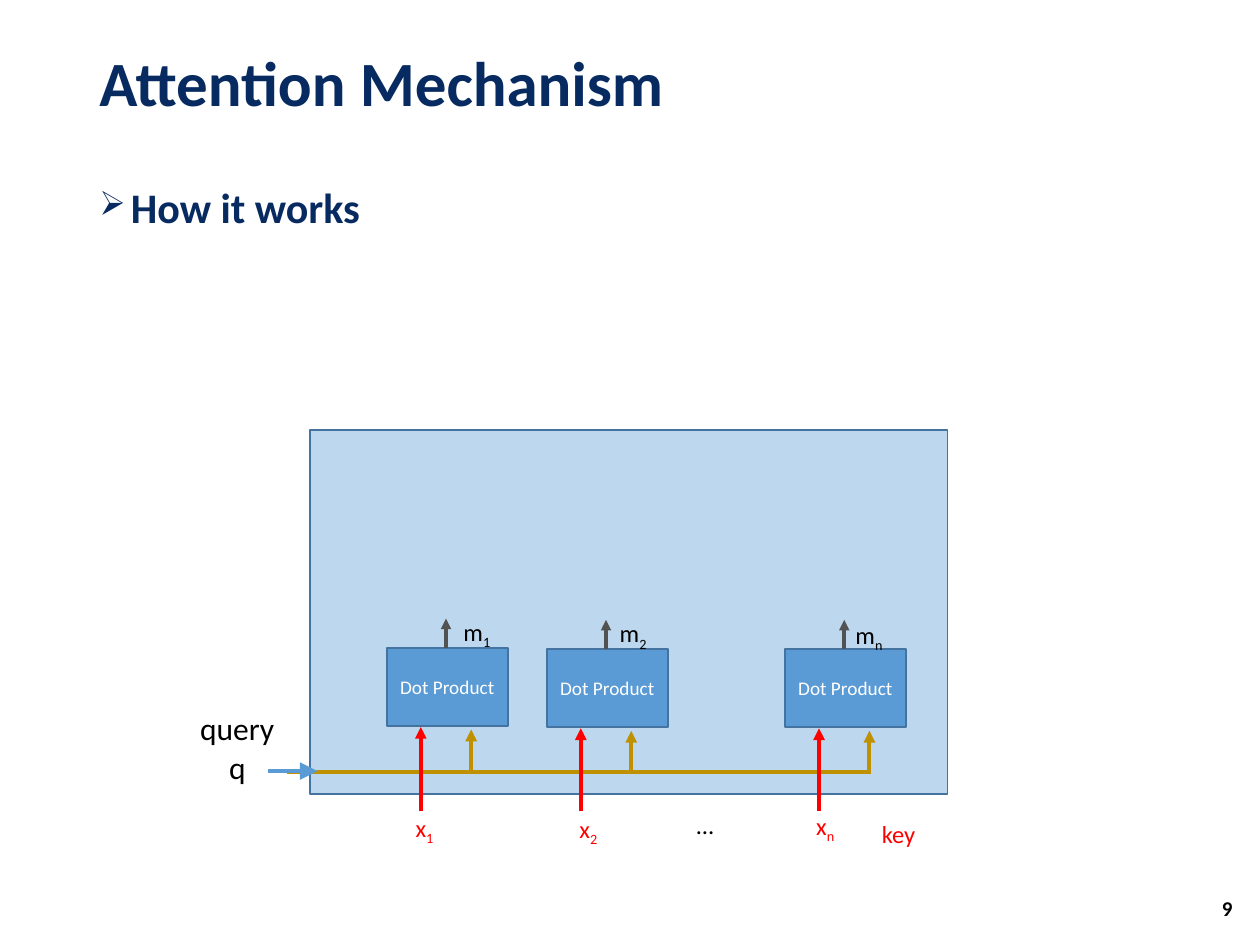
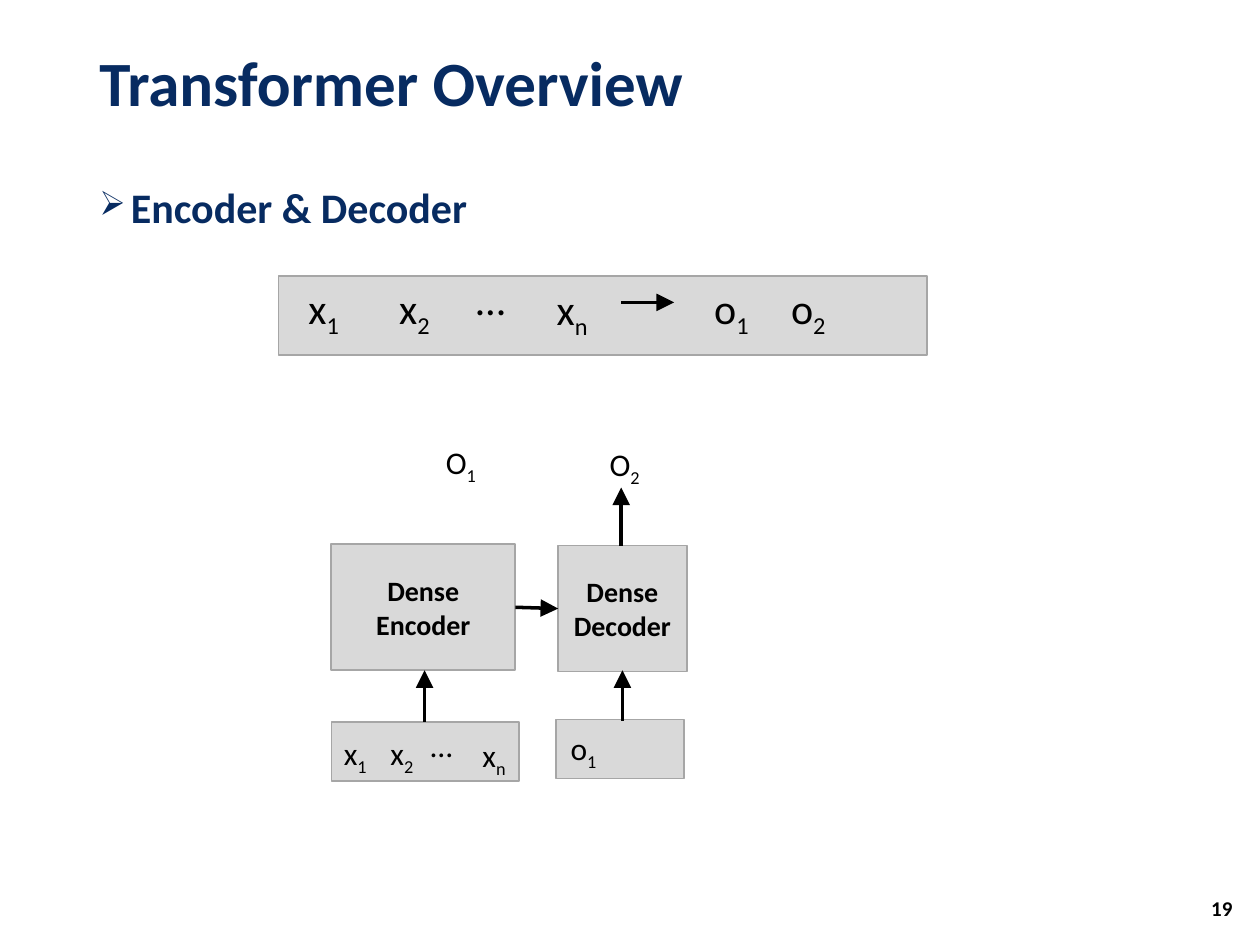
from dataclasses import dataclass

from pptx import Presentation
from pptx.dml.color import RGBColor
from pptx.enum.shapes import MSO_CONNECTOR, MSO_SHAPE
from pptx.enum.text import MSO_ANCHOR, MSO_AUTO_SIZE, PP_ALIGN
from pptx.oxml.ns import qn
from pptx.util import Inches, Pt
from lxml.etree import SubElement


@dataclass(frozen=True)
class Theme:
    font: str = "Calibri"
    navy: str = "072B61"
    black: str = "000000"
    white: str = "FFFFFF"
    red: str = "FF0000"
    gold: str = "BF9000"
    charcoal: str = "525252"
    blue: str = "5B9BD5"
    pale_blue: str = "BDD7EE"
    blue_edge: str = "43739E"
    grey: str = "D9D9D9"
    grey_edge: str = "A6A6A6"
    title: int = 36
    heading: int = 24
    label: int = 18
    block: int = 16
    small: int = 14
    number: int = 12
    tiny: int = 11


THEME = Theme()


def apply(target, values):
    for name, value in values.items():
        setattr(target, name, value)


class Deck:
    def __init__(self, theme):
        self.theme = theme
        self.presentation = Presentation()
        apply(self.presentation, {"slide_width": Inches(10), "slide_height": Inches(7.5)})
        self.slide = None

    def start(self, title, heading, number):
        theme = self.theme
        self.slide = self.presentation.slides.add_slide(self.presentation.slide_layouts[6])
        self.text(title, (0.69, 0.18, 8.62, 1.01), theme.title, theme.navy, bold=True,
                  anchor=MSO_ANCHOR.MIDDLE, line_spacing=0.9)
        self.bullet(heading)
        self.text(number, (9.36, 7.01, 0.52, 0.4), theme.number, theme.black, bold=True,
                  anchor=MSO_ANCHOR.MIDDLE, alignment=PP_ALIGN.RIGHT)

    def run(self, paragraph, words, size, color, bold=False, baseline=None):
        run = paragraph.add_run()
        run.text = words
        apply(run.font, {"name": self.theme.font, "size": Pt(size), "bold": bold})
        run.font.color.rgb = RGBColor.from_string(color)
        if baseline:
            run.font._element.set("baseline", baseline)

    def text(self, words, box, size, color, bold=False, anchor=MSO_ANCHOR.TOP, **layout):
        frame = self.slide.shapes.add_textbox(*map(Inches, box)).text_frame
        apply(frame, {"word_wrap": True, "vertical_anchor": anchor})
        paragraph = frame.paragraphs[0]
        apply(paragraph, layout)
        self.run(paragraph, words, size, color, bold)
        return paragraph

    def bullet(self, words):
        theme = self.theme
        paragraph = self.text(words, (0.69, 1.44, 8.62, 5.44), theme.heading, theme.navy,
                              bold=True, line_spacing=0.9, space_before=Pt(10))
        properties = paragraph._p.get_or_add_pPr()
        properties.set("marL", str(Inches(0.25)))
        properties.set("indent", str(Inches(-0.25)))
        SubElement(properties, qn("a:buSzPct")).set("val", "80000")
        SubElement(properties, qn("a:buChar")).set("char", "➢")

    def symbol(self, words, left, top, width, size, color=THEME.black, sub=""):
        height = {14: 0.34, 18: 0.4, 24: 0.5}[size]
        box = map(Inches, (left, top, width, height))
        frame = self.slide.shapes.add_textbox(*box).text_frame
        apply(frame, {"word_wrap": False, "auto_size": MSO_AUTO_SIZE.SHAPE_TO_FIT_TEXT})
        paragraph = frame.paragraphs[0]
        self.run(paragraph, words, size, color)
        if sub:
            self.run(paragraph, sub, size, color, baseline="-25000")

    def block(self, box, fill, edge, lines=(), size=THEME.block, color=THEME.black, bold=False):
        block = self.slide.shapes.add_shape(MSO_SHAPE.RECTANGLE, *map(Inches, box))
        block.shadow.inherit = False
        block.fill.solid()
        block.fill.fore_color.rgb = RGBColor.from_string(fill)
        block.line.color.rgb = RGBColor.from_string(edge)
        block.line.width = Pt(1)
        frame = block.text_frame
        apply(frame, {"word_wrap": True, "vertical_anchor": MSO_ANCHOR.MIDDLE,
                      "margin_left": Inches(0.05), "margin_right": Inches(0.05)})
        for index, words in enumerate(lines):
            paragraph = frame.add_paragraph() if index else frame.paragraphs[0]
            paragraph.alignment = PP_ALIGN.CENTER
            self.run(paragraph, words, size, color, bold)

    def line(self, start, end, color, width=2.25, head="med"):
        points = map(Inches, (*start, *end))
        line = self.slide.shapes.add_connector(MSO_CONNECTOR.STRAIGHT, *points)
        line.line.color.rgb = RGBColor.from_string(color)
        line.line.width = Pt(width)
        if head:
            tail = SubElement(line.line._get_or_add_ln(), qn("a:tailEnd"))
            for name, value in {"type": "triangle", "w": head, "len": head}.items():
                tail.set(name, value)
        SubElement(line._element.spPr, qn("a:effectLst"))


def attention_slide(deck):
    theme = deck.theme
    deck.start("Attention Mechanism", "How it works", "9")
    deck.block((2.46, 3.41, 5.06, 2.89), theme.pale_blue, theme.blue_edge)
    deck.line((2.28, 6.13), (6.91, 6.13), theme.gold, head=None)
    columns = [
        ("1", 3.07, 5.14, (3.58, 4.85), (3.2, 6.4)),
        ("2", 4.34, 5.15, (4.82, 4.86), (4.5, 6.41)),
        ("n", 6.23, 5.15, (6.69, 4.87), (6.38, 6.39)),
    ]
    for sub, left, top, score, key in columns:
        deck.block((left, top, 0.96, 0.62), theme.blue, theme.blue_edge,
                   ["Dot Product"], theme.tiny, theme.white)
        query_x, score_x, key_x = left + 0.67, left + 0.47, left + 0.27
        deck.line((query_x, 6.13), (query_x, top + 0.65), theme.gold)
        deck.line((score_x, top), (score_x, top - 0.23), theme.charcoal, 2)
        deck.line((key_x, 6.44), (key_x, top + 0.63), theme.red)
        deck.symbol("m", *score, 0.42, theme.small, sub=sub)
        deck.symbol("x", *key, 0.36, theme.small, theme.red, sub)
    deck.symbol("…", 5.43, 6.38, 0.4, theme.small)
    deck.symbol("key", 6.9, 6.45, 0.47, theme.small, theme.red)
    deck.line((2.13, 6.12), (2.52, 6.12), theme.blue, 2, "lg")
    deck.symbol("query", 1.49, 5.58, 0.8, theme.label)
    deck.symbol("q", 1.72, 5.89, 0.34, theme.label)


def transformer_slide(deck):
    theme = deck.theme
    deck.start("Transformer Overview", "Encoder & Decoder", "19")
    blocks = [
        ((2.21, 2.19, 5.15, 0.63), []),
        ((2.63, 4.32, 1.46, 1), ["Dense", "Encoder"]),
        ((4.43, 4.33, 1.02, 1), ["Dense", "Decoder"]),
        ((2.63, 5.73, 1.49, 0.47), []),
        ((4.41, 5.71, 1.02, 0.47), []),
    ]
    for box, lines in blocks:
        deck.block(box, theme.grey, theme.grey_edge, lines, bold=True)

    arrows = [
        ((4.93, 2.4), (5.35, 2.4)),
        ((3.37, 5.73), (3.37, 5.32)),
        ((4.94, 5.72), (4.94, 5.32)),
        ((4.09, 4.82), (4.43, 4.83)),
        ((4.93, 4.33), (4.93, 3.87)),
    ]
    for start, end in arrows:
        deck.line(start, end, theme.black, 2, "lg")

    sequence = [
        ("x", "1", 2.35, 2.19, 0.46),
        ("x", "2", 3.07, 2.19, 0.46),
        ("…", "", 3.68, 2.12, 0.44),
        ("x", "n", 4.32, 2.2, 0.46),
        ("o", "1", 5.57, 2.19, 0.49),
        ("o", "2", 6.18, 2.19, 0.49),
    ]
    network = [
        ("x", "1", 2.63, 5.78, 0.41),
        ("x", "2", 3, 5.78, 0.41),
        ("…", "", 3.32, 5.71, 0.45),
        ("x", "n", 3.73, 5.79, 0.41),
        ("o", "1", 4.43, 5.74, 0.42),
        ("O", "1", 3.44, 3.47, 0.45),
        ("O", "2", 4.74, 3.48, 0.45),
    ]
    for size, symbols in ((theme.heading, sequence), (theme.label, network)):
        for words, sub, left, top, width in symbols:
            deck.symbol(words, left, top, width, size, sub=sub)


def main():
    deck = Deck(THEME)
    attention_slide(deck)
    transformer_slide(deck)
    deck.presentation.save("out.pptx")


if __name__ == "__main__":
    main()
